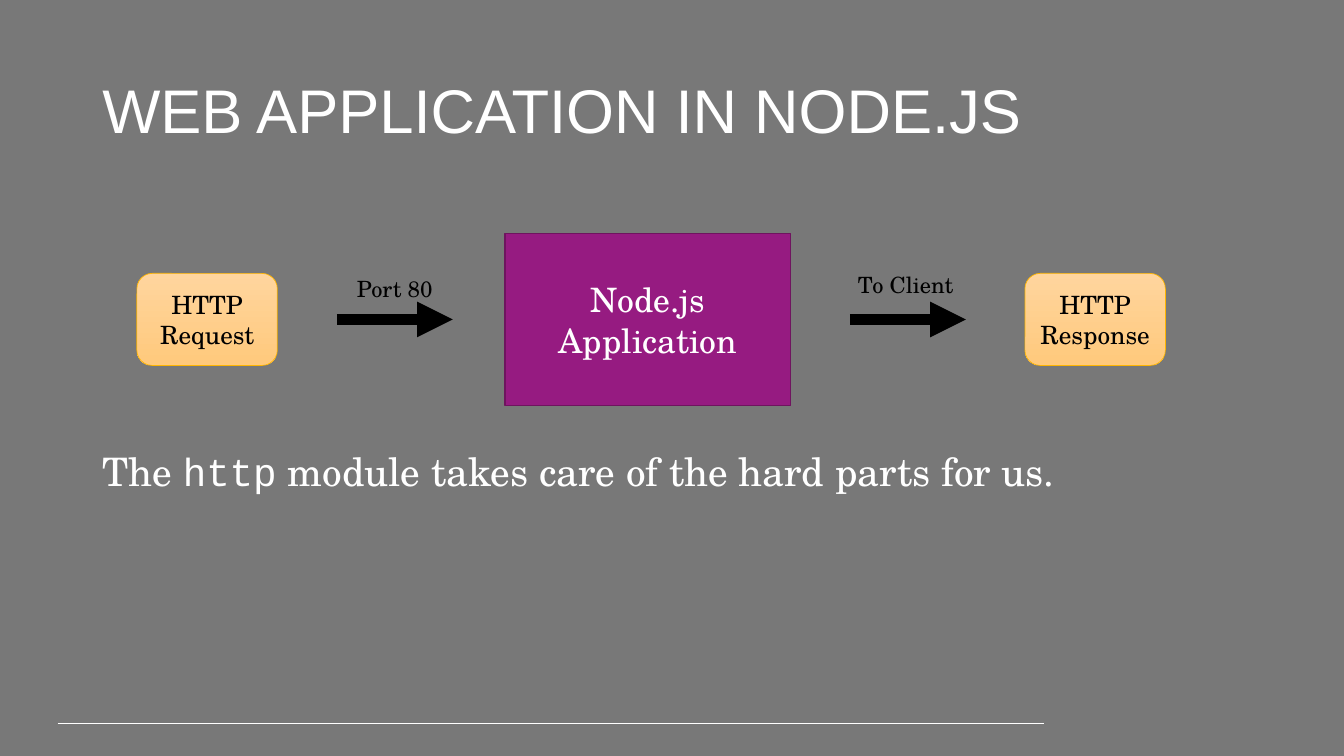
from lxml import etree
from pptx import Presentation
from pptx.dml.color import RGBColor
from pptx.enum.shapes import MSO_CONNECTOR, MSO_SHAPE
from pptx.enum.text import MSO_ANCHOR, PP_ALIGN
from pptx.oxml.ns import qn
from pptx.util import Cm, Pt

STRAIGHT = MSO_CONNECTOR.STRAIGHT
RECTANGLE, ROUNDED = MSO_SHAPE.RECTANGLE, MSO_SHAPE.ROUNDED_RECTANGLE
TOP, MIDDLE = MSO_ANCHOR.TOP, MSO_ANCHOR.MIDDLE
LEFT, CENTER = PP_ALIGN.LEFT, PP_ALIGN.CENTER

COLORS = {
    "background": "787878",
    "white": "FFFFFF",
    "black": "000000",
    "message_top": "FFD59E",
    "message_bottom": "FFC97C",
    "message_line": "FFB500",
    "application": "961B81",
    "application_line": "6F145F",
}
COLORS = {name: RGBColor.from_string(value) for name, value in COLORS.items()}
SERIF, SANS, MONO = "TeX Gyre Schola", "Arial", "Courier New"


def write_text(shape, runs, size, color, anchor=TOP, alignment=LEFT, line_spacing=1.0):
    """Fill the shape with one paragraph made of (text, font name) runs."""
    frame = shape.text_frame
    frame.word_wrap = True
    frame.vertical_anchor = anchor
    paragraph = frame.paragraphs[0]
    paragraph.alignment = alignment
    paragraph.line_spacing = line_spacing
    for text, font_name in runs:
        run = paragraph.add_run()
        run.text = text
        for attribute, value in {"name": font_name, "size": Pt(size)}.items():
            setattr(run.font, attribute, value)
        run.font.color.rgb = COLORS[color]


def add_line(left, right, y, color, width):
    line = slide.shapes.add_connector(STRAIGHT, Cm(left), Cm(y), Cm(right), Cm(y))
    line.line.color.rgb = COLORS[color]
    line.line.width = Pt(width)
    etree.SubElement(line._element.spPr, qn("a:effectLst"))
    return line


presentation = Presentation()
presentation.slide_width = Cm(33.87)
presentation.slide_height = Cm(19.05)
slide = presentation.slides.add_slide(presentation.slide_layouts[6])
slide.background.fill.solid()
slide.background.fill.fore_color.rgb = COLORS["background"]

add_line(1.45, 26.31, 18.23, "white", 0.75)

# Title and closing sentence share the same column
title = slide.shapes.add_textbox(Cm(2.33), Cm(1.01), Cm(29.21), Cm(3.68))
write_text(title, [("WEB APPLICATION IN NODE.JS", SANS)], 44, "white",
           anchor=MIDDLE, line_spacing=0.9)

sentence = slide.shapes.add_textbox(Cm(2.33), Cm(11.28), Cm(29.21), Cm(1.38))
sentence_runs = [("The ", SERIF), ("http", MONO),
                 (" module takes care of the hard parts for us.", SERIF)]
write_text(sentence, sentence_runs, 28, "white", line_spacing=0.9)

# Boxes and arrows are centred on one horizontal axis
AXIS = 8.05
boxes = [
    ("HTTP Request", ROUNDED, 3.45, 3.54, 2.32, 18, "black", "message_line", 0.5),
    ("Node.js Application", RECTANGLE, 12.73, 7.2, 4.34, 24, "white", "application_line", 1),
    ("HTTP Response", ROUNDED, 25.83, 3.54, 2.32, 18, "black", "message_line", 0.5),
]
for text, kind, left, width, height, size, text_color, line_color, line_width in boxes:
    box = slide.shapes.add_shape(kind, Cm(left), Cm(AXIS - height / 2), Cm(width), Cm(height))
    box.shadow.inherit = False
    if kind == ROUNDED:
        box.fill.gradient()
        box.fill.gradient_angle = 270
        for stop, color in zip(box.fill.gradient_stops, ("message_top", "message_bottom")):
            stop.color.rgb = COLORS[color]
    else:
        box.fill.solid()
        box.fill.fore_color.rgb = COLORS["application"]
    box.line.color.rgb = COLORS[line_color]
    box.line.width = Pt(line_width)
    write_text(box, [(text, SERIF)], size, text_color, anchor=MIDDLE, alignment=CENTER)

ARROW_LENGTH = 2.92
arrows = [
    ("Port 80", 8.49, 8.49, 6.88, 2.92),
    ("To Client", 21.42, 21.15, 6.78, 3.35),
]
for text, arrow_left, label_left, label_top, label_width in arrows:
    arrow = add_line(arrow_left, arrow_left + ARROW_LENGTH, AXIS, "black", 8.5)
    etree.SubElement(arrow.line._get_or_add_ln(), qn("a:tailEnd"), type="triangle")
    label = slide.shapes.add_textbox(Cm(label_left), Cm(label_top), Cm(label_width), Cm(0.86))
    write_text(label, [(text, SERIF)], 16, "black", alignment=CENTER, line_spacing=0.9)

presentation.save("out.pptx")
